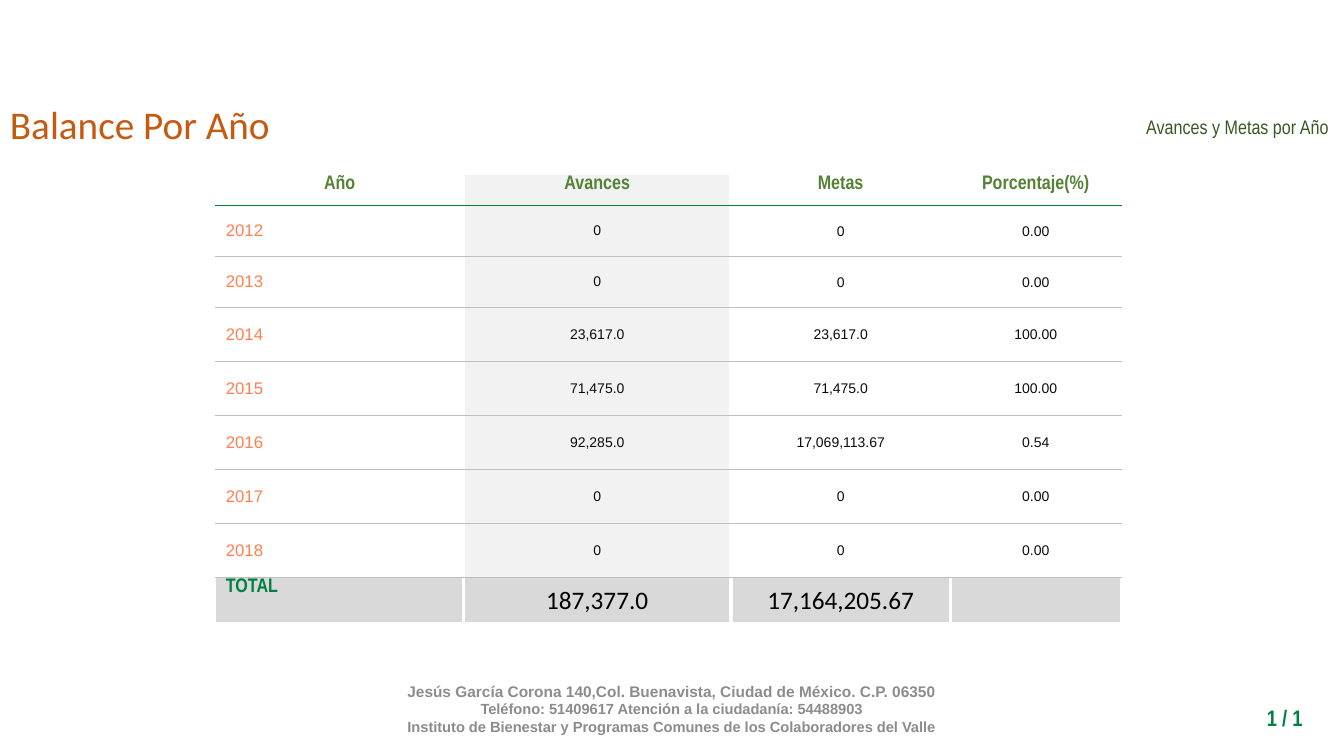
from lxml import etree
from pptx import Presentation, util as u
from pptx.dml.color import RGBColor
from pptx.enum import text
from pptx.oxml import ns

LEFT, CENTER, RIGHT = text.PP_ALIGN.LEFT, text.PP_ALIGN.CENTER, text.PP_ALIGN.RIGHT
TOP, MIDDLE = text.MSO_ANCHOR.TOP, text.MSO_ANCHOR.MIDDLE

GREEN, DARK_GREEN, LEAF = "008040", "385723", "548235"
ORANGE, CORAL = "C55A11", "FF7F50"
INK, BLACK, WHITE = "0B0B0B", "000000", "FFFFFF"
FOOTER_GREY, RULE_GREY, TOTAL_GREY, COLUMN_GREY = "8C8C8C", "BFBFBF", "D9D9D9", "F2F2F2"

HEADINGS = ["Año", "Avances", "Metas", "Porcentaje(%)"]
YEARS = [
    ["2012", "0", "0", "0.00"],
    ["2013", "0", "0", "0.00"],
    ["2014", "23,617.0", "23,617.0", "100.00"],
    ["2015", "71,475.0", "71,475.0", "100.00"],
    ["2016", "92,285.0", "17,069,113.67", "0.54"],
    ["2017", "0", "0", "0.00"],
    ["2018", "0", "0", "0.00"],
]
TOTAL = ["TOTAL", "187,377.0", "17,164,205.67", ""]
COLUMN_SHARES = [18.45, 19.88, 16.35, 12.68]
ROW_SHARES = [4.13] + [6.75] * 2 + [7.14] * 5 + [6.1]


def rgb(hex_colour):
    return RGBColor.from_string(hex_colour)


class BalanceSlide:
    """Places elements by percentages of the slide's width and height."""

    def __init__(self, deck):
        self.width, self.height = deck.slide_width, deck.slide_height
        self.slide = deck.slides.add_slide(deck.slide_layouts[6])

    def across(self, share):
        return round(self.width * share / 100)

    def down(self, share):
        return round(self.height * share / 100)

    def box(self, x, y, width, height):
        return self.across(x), self.down(y), self.across(width), self.down(height)

    def style(self, paragraph, size, face, colour, bold=False, align=LEFT):
        paragraph.alignment = align
        font = paragraph.font
        font.size, font.name, font.bold = u.Pt(size), face, bold
        font.color.rgb = rgb(colour)

    def text(self, area, lines, sizes, face, colour, bold=False, align=LEFT,
             anchor=TOP, wrap=True, spacing=None):
        frame = self.slide.shapes.add_textbox(*self.box(*area)).text_frame
        frame.word_wrap, frame.vertical_anchor = wrap, anchor
        frame.text = "\n".join(lines)
        for paragraph, size in zip(frame.paragraphs, sizes):
            self.style(paragraph, size, face, colour, bold, align)
            paragraph.line_spacing = spacing

    def border(self, cell, sides):
        """Draws cell sides, given in the order L, R, T, B as (colour, points)."""
        properties = cell._tc.get_or_add_tcPr()
        for place, (side, (colour, points)) in enumerate(sides.items()):
            line = etree.Element(ns.qn(f"a:ln{side}"), w=str(u.Pt(points)))
            fill = etree.SubElement(line, ns.qn("a:solidFill"))
            etree.SubElement(fill, ns.qn("a:srgbClr"), val=colour)
            properties.insert(place, line)

    def table(self, x, y, rows):
        area = self.box(x, y, sum(COLUMN_SHARES), sum(ROW_SHARES))
        table = self.slide.shapes.add_table(len(rows), len(HEADINGS), *area).table
        table.first_row = table.horz_banding = False
        for column, share in zip(table.columns, COLUMN_SHARES):
            column.width = self.across(share)
        for row, share in zip(table.rows, ROW_SHARES):
            row.height = self.down(share)
        for r, values in enumerate(rows):
            for c, value in enumerate(values):
                self.cell(table.cell(r, c), value, r, c, len(rows) - 1)

    def cell(self, cell, value, r, c, last):
        heading, total = r == 0, r == last
        label = heading or (total and c == 0)
        cell.text = value
        cell.vertical_anchor = TOP if label else MIDDLE
        if label:
            cell.margin_top = cell.margin_bottom = u.Inches(0.01)
        elif c > 1:
            cell.margin_left = cell.margin_right = cell.margin_top = u.Inches(0.01)
            cell.margin_bottom = 0

        if label:
            look = 14, "Arial Narrow", LEAF if heading else GREEN, True
        elif total:
            look = 18, "Calibri", BLACK
        else:
            look = (10, "Arial", INK) if c else (12, "Arial", CORAL)
        align = CENTER if c or heading else LEFT
        self.style(cell.text_frame.paragraphs[0], *look, align=align)

        if total or c == 1:
            cell.fill.solid()
            cell.fill.fore_color.rgb = rgb(TOTAL_GREY if total else COLUMN_GREY)
        else:
            cell.fill.background()

        gap, rule, heading_rule = (WHITE, 3), (RULE_GREY, 0.5), (GREEN, 0.25)
        sides = {}
        if c > 0:
            sides["L"] = gap
        if c < len(HEADINGS) - 1:
            sides["R"] = gap
        if not heading:
            sides["T"] = heading_rule if r == 1 else rule
        sides["B"] = heading_rule if heading else gap if total else rule
        self.border(cell, sides)


def main():
    deck = Presentation()
    deck.slide_width, deck.slide_height = u.Inches(13.33), u.Inches(7.5)
    balance = BalanceSlide(deck)
    balance.text(
        (21.6, 91.07, 56.78, 5.33),
        ["Jesús García Corona 140,Col. Buenavista, Ciudad de México. C.P. 06350",
         "Teléfono: 51409617 Atención a la ciudadanía: 54488903",
         "Instituto de Bienestar y Programas Comunes de los Colaboradores del Valle"],
        [11, 10.5, 10.5], "Arial", FOOTER_GREY, bold=True, align=CENTER, anchor=MIDDLE)
    balance.table(16.05, 23.07, [HEADINGS, *YEARS, TOTAL])
    balance.text((54.3, 10.13, 45.3, 12.67), ["Avances y Metas por Año"], [14],
                 "Arial Narrow", DARK_GREEN, align=RIGHT, anchor=MIDDLE, spacing=1.15)
    balance.text((88.2, 92.53, 9.45, 4.93), ["1 / 1"], [16],
                 "Arial Narrow", GREEN, bold=True, align=RIGHT)
    balance.text((0, 12.67, 21.08, 7.6), ["Balance Por Año"], [28],
                 "Calibri", ORANGE, wrap=False)
    deck.save("out.pptx")


if __name__ == "__main__":
    main()
